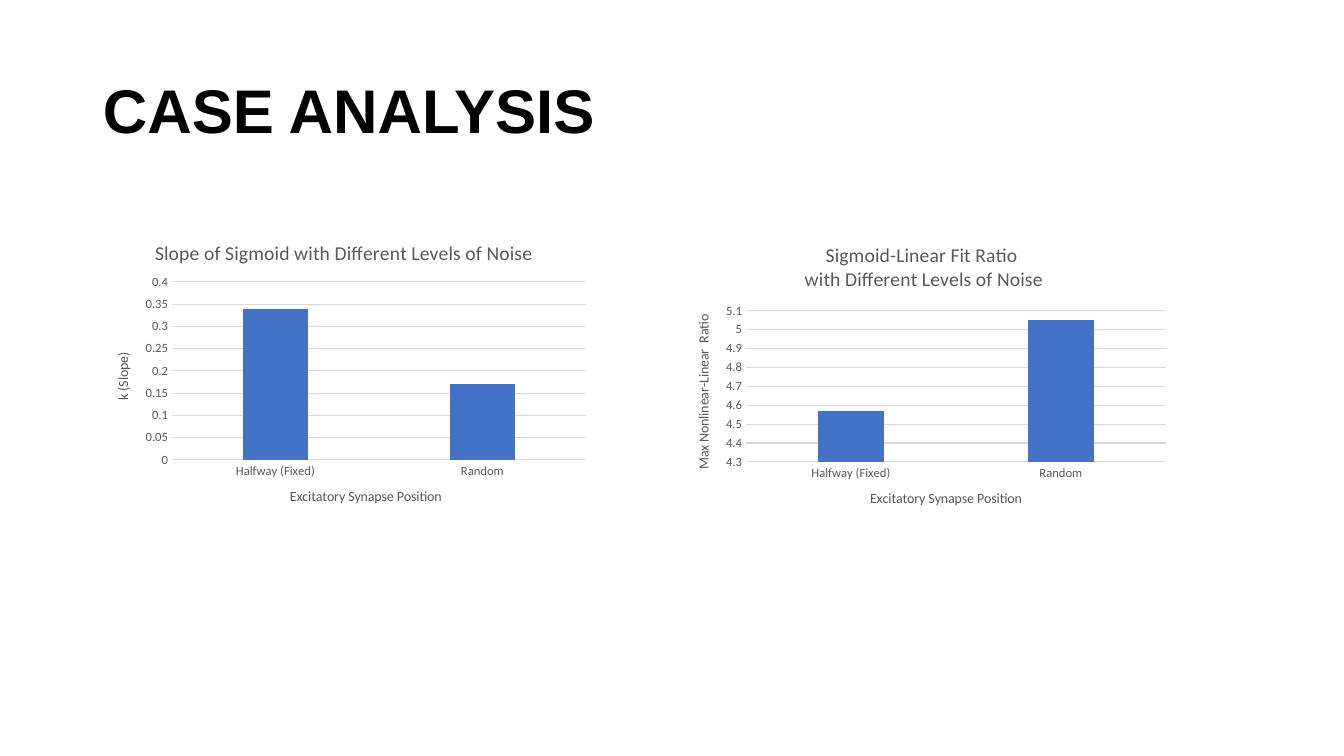
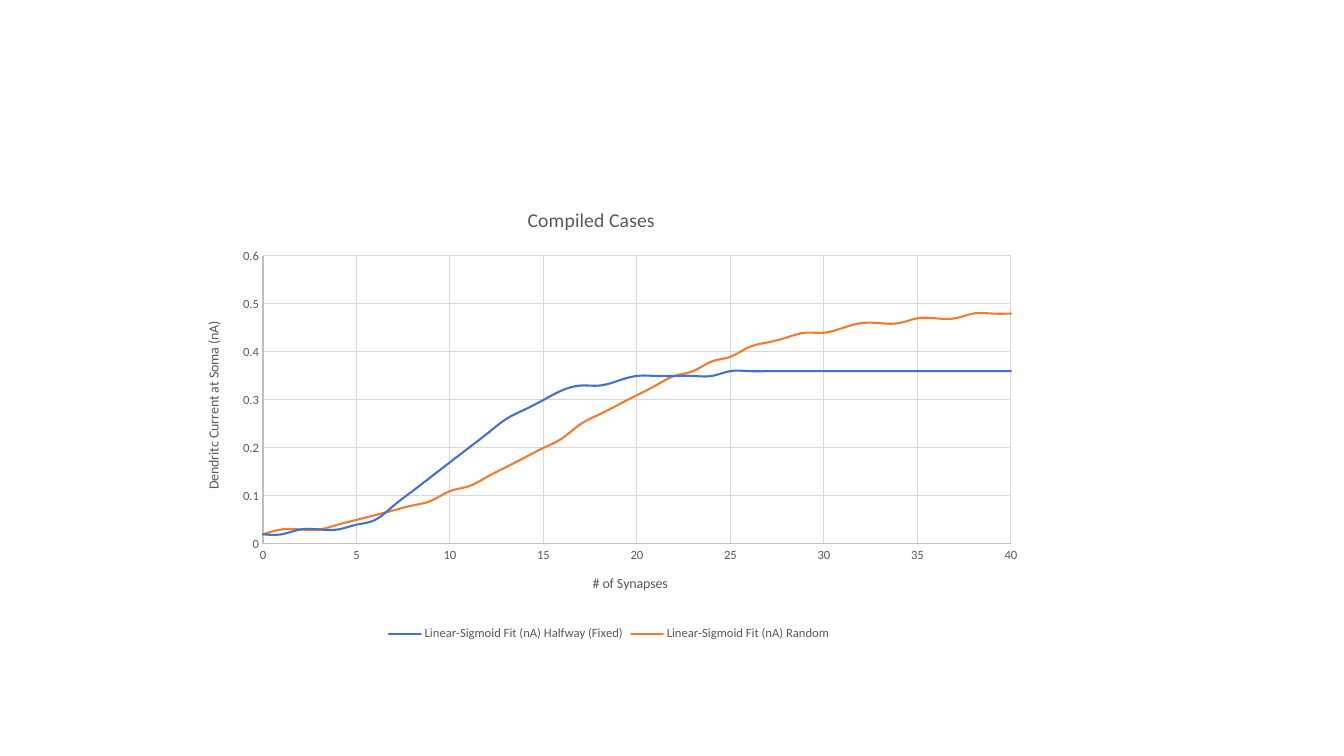
import pptx
import pptx.chart.data
import pptx.dml.color
import pptx.enum.chart
import pptx.enum.text
import pptx.oxml
import pptx.oxml.ns
import pptx.util

PX = 914400 / 100.8
COLOURS = {
    "title": "000000",
    "label": "595959",
    "grid": "D9D9D9",
    "scatter_axis": "BFBFBF",
    "fixed": "4472C4",
    "random": "ED7D31",
}
TITLE_FONT = "Arial"
CHART_FONT = "Calibri"
CHART_TYPE = pptx.enum.chart.XL_CHART_TYPE

POSITIONS = ["Halfway (Fixed)", "Random"]
FIXED_FIT = [
    0.02, 0.02, 0.03, 0.03, 0.03, 0.04, 0.05, 0.08, 0.11, 0.14,
    0.17, 0.2, 0.23, 0.26, 0.28, 0.3, 0.32, 0.33, 0.33, 0.34,
] + [0.35] * 5 + [0.36] * 16
RANDOM_FIT = [
    0.02, 0.03, 0.03, 0.03, 0.04, 0.05, 0.06, 0.07, 0.08, 0.09,
    0.11, 0.12, 0.14, 0.16, 0.18, 0.2, 0.22, 0.25, 0.27, 0.29,
    0.31, 0.33, 0.35, 0.36, 0.38, 0.39, 0.41, 0.42, 0.43, 0.44,
    0.44, 0.45, 0.46, 0.46, 0.46, 0.47, 0.47, 0.47, 0.48, 0.48,
    0.48,
]


def px(length):
    return pptx.util.Emu(round(length * PX))


def rgb(name):
    return pptx.dml.color.RGBColor.from_string(COLOURS[name])


def style_font(font, size, colour="label", face=CHART_FONT, bold=False):
    font.size = pptx.util.Pt(size)
    font.name = face
    font.bold = bold
    font.color.rgb = rgb(colour)


def style_line(line, colour, width=0.75):
    line.color.rgb = rgb(colour)
    line.width = pptx.util.Pt(width)


def write_caption(caption, text, size):
    """Fill a chart or axis title, one paragraph for each line."""
    frame = caption.text_frame
    for number, words in enumerate(text.split("\n")):
        paragraph = frame.add_paragraph() if number else frame.paragraphs[0]
        run = paragraph.add_run()
        run.text = words
        style_font(run.font, size)


def set_layout(parent, **fractions):
    """Place a chart part by fractions of the chart's own box."""
    layout = parent.find(pptx.oxml.ns.qn("c:layout"))
    if layout is None:
        layout = pptx.oxml.parse_xml(
            f"<c:layout {pptx.oxml.ns.nsdecls('c')}/>")
        parent.insert(0, layout)
    for child in list(layout):
        layout.remove(child)
    settings = {"xMode": "edge", "yMode": "edge", **fractions}
    if "w" in fractions:
        settings = {"layoutTarget": "inner", **settings}
    parts = "".join(f'<c:{key} val="{value}"/>'
                    for key, value in settings.items())
    layout.append(pptx.oxml.parse_xml(
        f"<c:manualLayout {pptx.oxml.ns.nsdecls('c')}>{parts}"
        "</c:manualLayout>"))


def style_axis(axis, caption, scale, line, grid):
    write_caption(axis.axis_title, caption, 10)
    style_font(axis.tick_labels.font, 9)
    axis.major_tick_mark = pptx.enum.chart.XL_TICK_MARK.NONE
    axis.minor_tick_mark = pptx.enum.chart.XL_TICK_MARK.NONE
    if scale:
        axis.minimum_scale, axis.maximum_scale, axis.major_unit = scale
    if line:
        style_line(axis.format.line, line)
    else:
        axis.format.line.fill.background()
    axis.has_major_gridlines = grid
    if grid:
        style_line(axis.major_gridlines.format.line, "grid")


def add_base_chart(slide, kind, box, plot_box, data, title):
    """Add a chart; plot_box is in px, measured from the corner of box."""
    chart = slide.shapes.add_chart(kind, *map(px, box), data).chart
    style_font(chart.font, 10, "title")
    write_caption(chart.chart_title, title, 14)
    chart.chart_title.include_in_layout = False
    chart.has_legend = False
    chart.plots[0].vary_by_categories = False
    left, top, width, height = plot_box
    box_width, box_height = box[2:]
    plot_area = chart.element.find(".//" + pptx.oxml.ns.qn("c:plotArea"))
    set_layout(plot_area,
               x=round(left / box_width, 4), y=round(top / box_height, 4),
               w=round(width / box_width, 4), h=round(height / box_height, 4))
    return chart


def add_position_chart(slide, box, plot_box, title, measure, values, scale):
    """Compare the two synapse positions as columns."""
    data = pptx.chart.data.CategoryChartData()
    data.categories = POSITIONS
    data.add_series("Series 1", values)
    chart = add_base_chart(slide, CHART_TYPE.COLUMN_CLUSTERED, box, plot_box,
                           data, title)
    columns = chart.plots[0]
    columns.gap_width = 219
    columns.overlap = -27
    fill = columns.series[0].format.fill
    fill.solid()
    fill.fore_color.rgb = rgb("fixed")
    style_axis(chart.category_axis, "Excitatory Synapse Position", None,
               "grid", False)
    style_axis(chart.value_axis, measure, scale, None, True)


def add_fit_chart(slide, box, plot_box):
    """Plot both fitted curves against the number of synapses."""
    data = pptx.chart.data.XyChartData()
    for position, currents in zip(POSITIONS, (FIXED_FIT, RANDOM_FIT)):
        curve = data.add_series(f"Linear-Sigmoid Fit (nA) {position}")
        for synapses, current in enumerate(currents):
            curve.add_data_point(synapses, current)
    chart = add_base_chart(slide, CHART_TYPE.XY_SCATTER_SMOOTH_NO_MARKERS,
                           box, plot_box, data, "Compiled Cases")
    set_layout(chart.chart_title._element, x=0.4, y=0.03)
    for smooth in chart.element.iter(pptx.oxml.ns.qn("c:smooth")):
        smooth.set("val", "1")
    for curve, colour in zip(chart.plots[0].series, ("fixed", "random")):
        style_line(curve.format.line, colour, 1.5)
    for outline in chart.plots[0]._element.iter(pptx.oxml.ns.qn("a:ln")):
        outline.set("cap", "rnd")
    style_axis(chart.category_axis, "# of Synapses", (0, 40, 5),
               "scatter_axis", True)
    style_axis(chart.value_axis, "Dendritc Current at Soma (nA)",
               (0, 0.6, 0.1), "scatter_axis", True)
    chart.has_legend = True
    chart.legend.position = pptx.enum.chart.XL_LEGEND_POSITION.BOTTOM
    chart.legend.include_in_layout = False
    style_font(chart.legend.font, 9)


def add_title(slide, box, text):
    frame = slide.shapes.add_textbox(*map(px, box)).text_frame
    frame.word_wrap = True
    frame.vertical_anchor = pptx.enum.text.MSO_ANCHOR.MIDDLE
    frame.paragraphs[0].line_spacing = 0.9
    run = frame.paragraphs[0].add_run()
    run.text = text
    style_font(run.font, 44, "title", TITLE_FONT, True)


def build_case_analysis(slide):
    add_title(slide, (93, 41, 749, 146), "CASE ANALYSIS")
    add_position_chart(
        slide, (92, 224, 504, 302), (80, 58, 414, 178),
        "Slope of Sigmoid with Different Levels of Noise",
        "k (Slope)", (0.34, 0.17), (0, 0.4, 0.05))
    add_position_chart(
        slide, (672, 227, 504, 302), (74, 84, 420, 151),
        "Sigmoid-Linear Fit Ratio \nwith Different Levels of Noise",
        "Max Nonlinear-Linear  Ratio", (4.57, 5.05), (4.3, 5.1, 0.1))


def build_compiled_cases(slide):
    add_fit_chart(slide, (184, 189, 850, 456), (79, 67, 748, 288))


def main():
    deck = pptx.Presentation()
    deck.slide_width, deck.slide_height = px(1344), px(756)
    blank = deck.slide_layouts[6]
    for build in (build_case_analysis, build_compiled_cases):
        build(deck.slides.add_slide(blank))
    deck.save("out.pptx")


if __name__ == "__main__":
    main()
